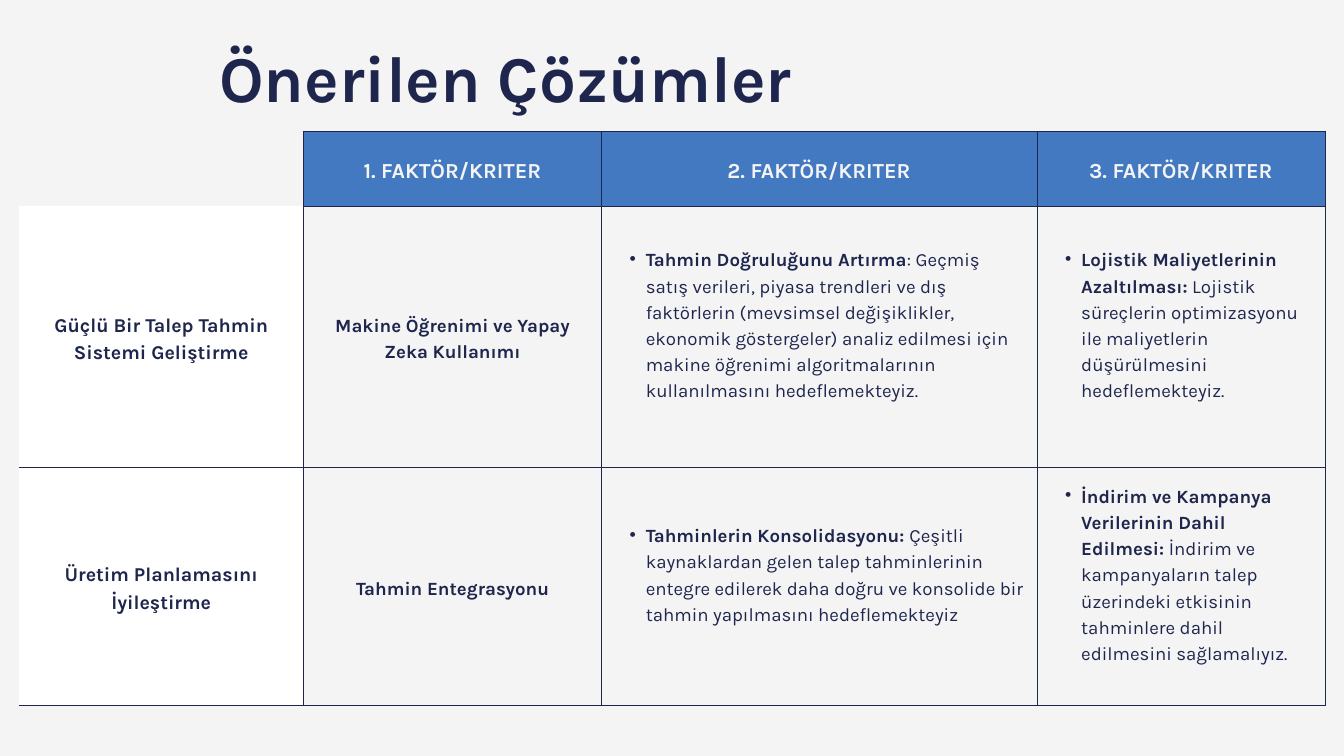
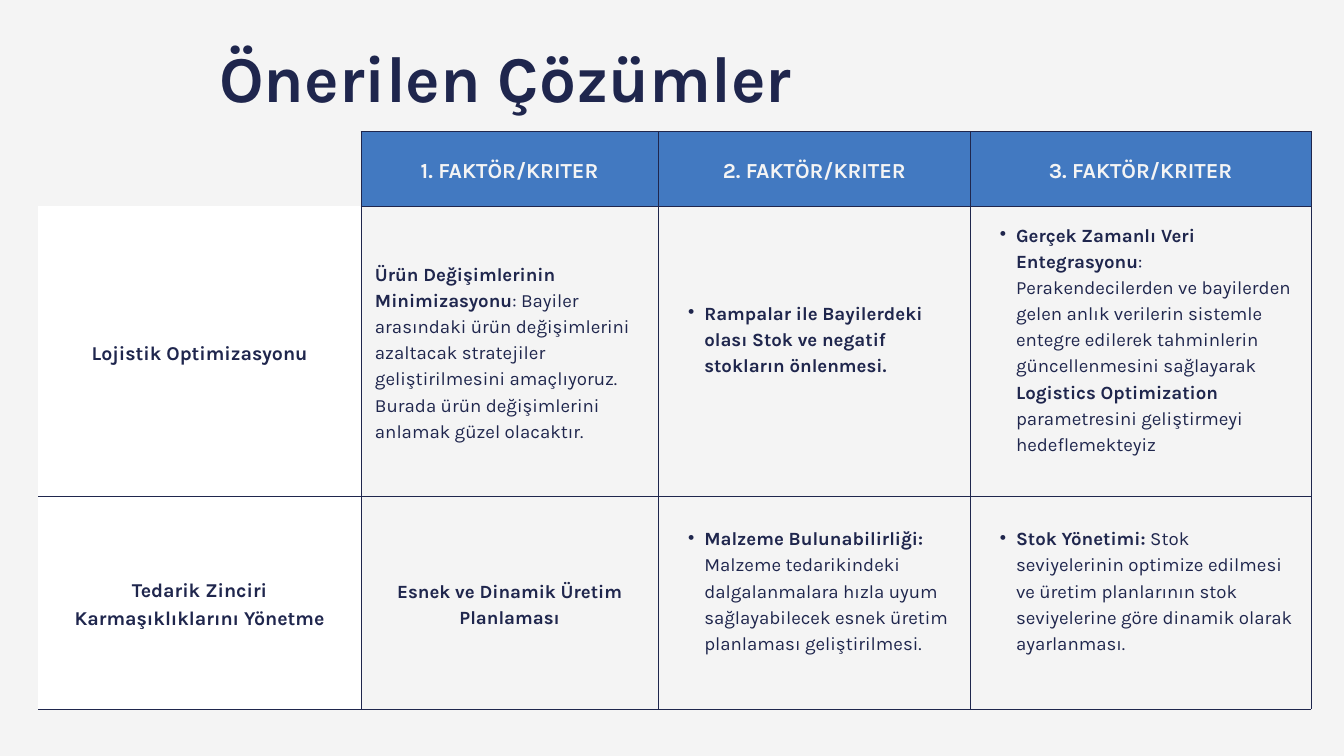
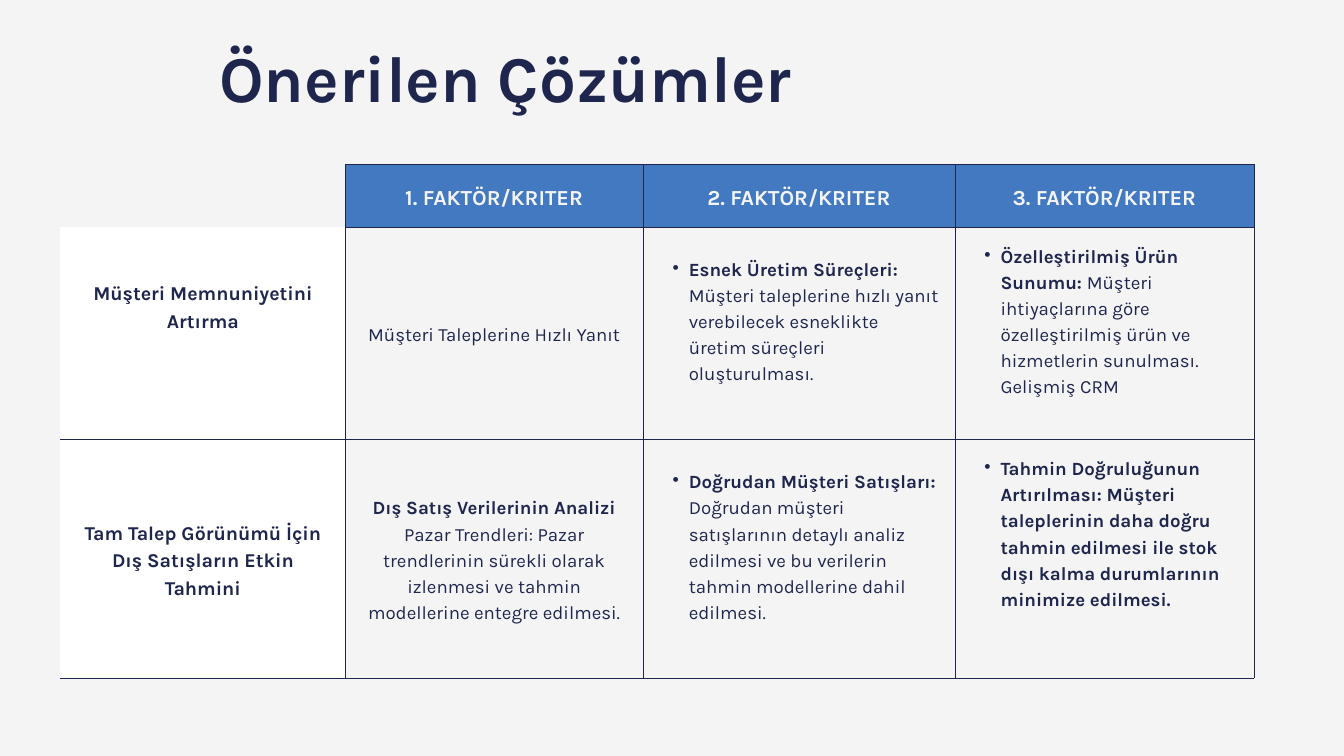
from dataclasses import dataclass
from typing import NamedTuple, Optional

from lxml.etree import SubElement
from pptx import Presentation
from pptx.dml.color import RGBColor
from pptx.enum.text import MSO_ANCHOR as Anchor, MSO_AUTO_SIZE as AutoSize, PP_ALIGN as Align
from pptx.oxml.ns import qn
from pptx.util import Inches, Pt

SLIDE_WIDTH, SLIDE_HEIGHT = Inches(20), Inches(11.25)
FONT = "Karla"
COLORS = {"paper": "F4F4F4", "navy": "1F264D", "blue": "4279C1", "white": "FFFFFF"}
TITLE = "Önerilen Çözümler"
HEADERS = [f"{number}. FAKTÖR/KRITER" for number in (1, 2, 3)]
PLAIN_TABLE_STYLE = "{2D5ABB26-0587-4C30-8999-92F81FD0307C}"
SIDES = "LRTB"
BORDER_WIDTH = Pt(0.75)


def across(percent: float) -> int:
    """Length as a percentage of the slide width."""
    return round(SLIDE_WIDTH * percent / 100)


def down(percent: float) -> int:
    """Length as a percentage of the slide height."""
    return round(SLIDE_HEIGHT * percent / 100)


class TextStyle(NamedTuple):
    size: float
    spacing: float
    color: str = "navy"
    align: Optional[Align] = Align.CENTER
    bullet: bool = False


TITLE_STYLE = TextStyle(70, 84)
HEADER_STYLE = TextStyle(23, 32.2, "paper")
LABEL_STYLE = TextStyle(21, 29.4)
CENTER_STYLE = TextStyle(20, 28)
LEFT_STYLE = TextStyle(20, 28, align=Align.LEFT)
BULLET_STYLE = TextStyle(20, 28, align=Align.LEFT, bullet=True)


class Words(NamedTuple):
    text: str
    bold: bool = True


@dataclass
class Entry:
    """Paragraphs of one cell, lifted above the middle by a number of lines."""
    paragraphs: list[list[Words]]
    style: TextStyle
    fill: str = "paper"
    lifted_lines: int = 0
    borders: str = SIDES


@dataclass
class SolutionTable:
    left: float
    top: float
    columns: list[float]
    rows: list[float]
    inset: float
    body: list[list[Entry]]


def heading(text: str) -> Entry:
    return Entry([[Words(text)]], HEADER_STYLE, "blue")


def label(text: str, borders: str = "RTB", lifted_lines: int = 0) -> Entry:
    return Entry([[Words(text)]], LABEL_STYLE, "white", lifted_lines, borders)


def centered(*lines: Words) -> Entry:
    return Entry([[line] for line in lines], CENTER_STYLE)


def bullet(*parts: str, lifted_lines: int = 1) -> Entry:
    """Bulleted cell whose parts alternate between bold and regular."""
    words = [Words(part, index % 2 == 0) for index, part in enumerate(parts)]
    return Entry([words], BULLET_STYLE, lifted_lines=lifted_lines)


TABLES = [
    SolutionTable(1.4, 17.42, [21.2, 22.15, 32.4, 21.45], [9.87, 34.58, 31.47], 0.95, [
        [
            label("Güçlü Bir Talep Tahmin Sistemi Geliştirme", "RB"),
            centered(Words("Makine Öğrenimi ve Yapay Zeka Kullanımı")),
            bullet("Tahmin Doğruluğunu Artırma",
                   ": Geçmiş satış verileri, piyasa trendleri ve dış faktörlerin (mevsimsel "
                   "değişiklikler, ekonomik göstergeler) analiz edilmesi için makine öğrenimi "
                   "algoritmalarının kullanılmasını hedeflemekteyiz."),
            bullet("Lojistik Maliyetlerinin Azaltılması:",
                   " Lojistik süreçlerin optimizasyonu ile maliyetlerin düşürülmesini "
                   "hedeflemekteyiz."),
        ],
        [
            label("Üretim Planlamasını İyileştirme"),
            centered(Words("Tahmin Entegrasyonu")),
            bullet("Tahminlerin Konsolidasyonu: ",
                   "Çeşitli kaynaklardan gelen talep tahminlerinin entegre edilerek daha doğru "
                   "ve konsolide bir tahmin yapılmasını hedeflemekteyiz"),
            bullet("İndirim ve Kampanya Verilerinin Dahil Edilmesi: ",
                   "İndirim ve kampanyaların talep üzerindeki etkisinin tahminlere dahil "
                   "edilmesini sağlamalıyız."),
        ],
    ]),
    SolutionTable(2.85, 17.42, [24, 22.15, 23.2, 25.35], [9.87, 38.4, 28.09], 1.05, [
        [
            label("Lojistik Optimizasyonu", "RB"),
            Entry([[Words("Ürün Değişimlerinin Minimizasyonu"),
                    Words(": Bayiler arasındaki ürün değişimlerini azaltacak stratejiler "
                          "geliştirilmesini amaçlıyoruz. Burada ürün değişimlerini anlamak "
                          "güzel olacaktır.", False)]], LEFT_STYLE),
            bullet("Rampalar ile Bayilerdeki olası Stok ve negatif stokların önlenmesi."),
            bullet("Gerçek Zamanlı Veri Entegrasyonu",
                   ": Perakendecilerden ve bayilerden gelen anlık verilerin sistemle entegre "
                   "edilerek tahminlerin güncellenmesini sağlayarak ",
                   "Logistics Optimization",
                   " parametresini geliştirmeyi hedeflemekteyiz"),
        ],
        [
            label("Tedarik Zinciri Karmaşıklıklarını Yönetme"),
            centered(Words("Esnek ve Dinamik Üretim Planlaması")),
            bullet("Malzeme Bulunabilirliği:",
                   " Malzeme tedarikindeki dalgalanmalara hızla uyum sağlayabilecek esnek "
                   "üretim planlaması geliştirilmesi."),
            bullet("Stok Yönetimi:",
                   " Stok seviyelerinin optimize edilmesi ve üretim planlarının stok "
                   "seviyelerine göre dinamik olarak ayarlanması."),
        ],
    ]),
    SolutionTable(4.5, 21.69, [21.2, 22.15, 23.2, 22.25], [8.36, 28.09, 31.56], 1.05, [
        [
            label("Müşteri Memnuniyetini Artırma", "RB", lifted_lines=2),
            centered(Words("Müşteri Taleplerine Hızlı Yanıt", False)),
            bullet("Esnek Üretim Süreçleri:",
                   " Müşteri taleplerine hızlı yanıt verebilecek esneklikte üretim süreçleri "
                   "oluşturulması."),
            bullet("Özelleştirilmiş Ürün Sunumu: ",
                   "Müşteri ihtiyaçlarına göre özelleştirilmiş ürün ve hizmetlerin sunulması. "
                   "Gelişmiş CRM"),
        ],
        [
            label("Tam Talep Görünümü İçin Dış Satışların Etkin Tahmini"),
            centered(Words("Dış Satış Verilerinin Analizi"),
                     Words("Pazar Trendleri: Pazar trendlerinin sürekli olarak izlenmesi ve "
                           "tahmin modellerine entegre edilmesi.", False)),
            bullet("Doğrudan Müşteri Satışları: ",
                   "Doğrudan müşteri satışlarının detaylı analiz edilmesi ve bu verilerin "
                   "tahmin modellerine dahil edilmesi."),
            bullet("Tahmin Doğruluğunun Artırılması: Müşteri taleplerinin daha doğru tahmin "
                   "edilmesi ile stok dışı kalma durumlarının minimize edilmesi.",
                   lifted_lines=2),
        ],
    ]),
]


def color(name: str) -> RGBColor:
    return RGBColor.from_string(COLORS[name])


def write(text_frame, paragraphs: list[list[Words]], style: TextStyle) -> None:
    for index, words in enumerate(paragraphs):
        paragraph = text_frame.add_paragraph() if index else text_frame.paragraphs[0]
        paragraph.alignment = style.align
        paragraph.line_spacing = Pt(style.spacing)
        if style.bullet:
            paragraph.level = 1
            properties = paragraph._p.get_or_add_pPr()
            properties.set("marL", str(across(2.35)))
            properties.set("indent", str(across(-1.2)))
            SubElement(properties, qn("a:buChar")).set("char", "•")
        for part in words:
            run = paragraph.add_run()
            run.text = part.text
            run.font.name = FONT
            run.font.size = Pt(style.size)
            run.font.bold = part.bold
            run.font.color.rgb = color(style.color)


def draw_borders(cell, visible_sides: str) -> None:
    properties = cell._tc.get_or_add_tcPr()
    for position, side in enumerate(SIDES):
        line = SubElement(properties, qn(f"a:ln{side}"))
        if side in visible_sides:
            line.set("w", str(BORDER_WIDTH))
            fill = SubElement(line, qn("a:solidFill"))
            SubElement(fill, qn("a:srgbClr")).set("val", COLORS["navy"])
        else:
            line.set("w", "0")
            SubElement(line, qn("a:noFill"))
        properties.insert(position, line)


def fill_cell(cell, entry: Entry, inset: int) -> None:
    cell.vertical_anchor = Anchor.MIDDLE
    cell.margin_left = cell.margin_right = cell.margin_top = inset
    cell.margin_bottom = inset + entry.lifted_lines * Pt(entry.style.spacing)
    cell.fill.solid()
    cell.fill.fore_color.rgb = color(entry.fill)
    write(cell.text_frame, entry.paragraphs, entry.style)
    draw_borders(cell, entry.borders)


def add_solution_table(slide, layout: SolutionTable) -> None:
    frame = slide.shapes.add_table(
        len(layout.rows), len(layout.columns), across(layout.left), down(layout.top),
        across(sum(layout.columns)), down(sum(layout.rows)))
    frame.element.find(f".//{qn('a:tableStyleId')}").text = PLAIN_TABLE_STYLE
    table = frame.table
    table.first_row = table.horz_banding = False
    for column, width in zip(table.columns, layout.columns):
        column.width = across(width)
    for row, height in zip(table.rows, layout.rows):
        row.height = down(height)

    corner = table.cell(0, 0)
    corner.fill.background()
    draw_borders(corner, "R")
    header = [None, *map(heading, HEADERS)]
    for row_index, entries in enumerate([header, *layout.body]):
        for column_index, entry in enumerate(entries):
            if entry:
                fill_cell(table.cell(row_index, column_index), entry, across(layout.inset))


def add_title(slide) -> None:
    box = slide.shapes.add_textbox(across(2.85), down(4.89), across(69.5), down(10.31))
    frame = box.text_frame
    frame.word_wrap = True
    frame.auto_size = AutoSize.SHAPE_TO_FIT_TEXT
    frame.margin_left = frame.margin_right = frame.margin_top = frame.margin_bottom = 0
    write(frame, [[Words(TITLE)]], TITLE_STYLE)


def main() -> None:
    presentation = Presentation()
    presentation.slide_width, presentation.slide_height = SLIDE_WIDTH, SLIDE_HEIGHT
    background = presentation.slide_master.background.fill
    background.solid()
    background.fore_color.rgb = color("paper")
    for layout in TABLES:
        slide = presentation.slides.add_slide(presentation.slide_layouts[6])
        add_solution_table(slide, layout)
        add_title(slide)
    presentation.save("out.pptx")


if __name__ == "__main__":
    main()
